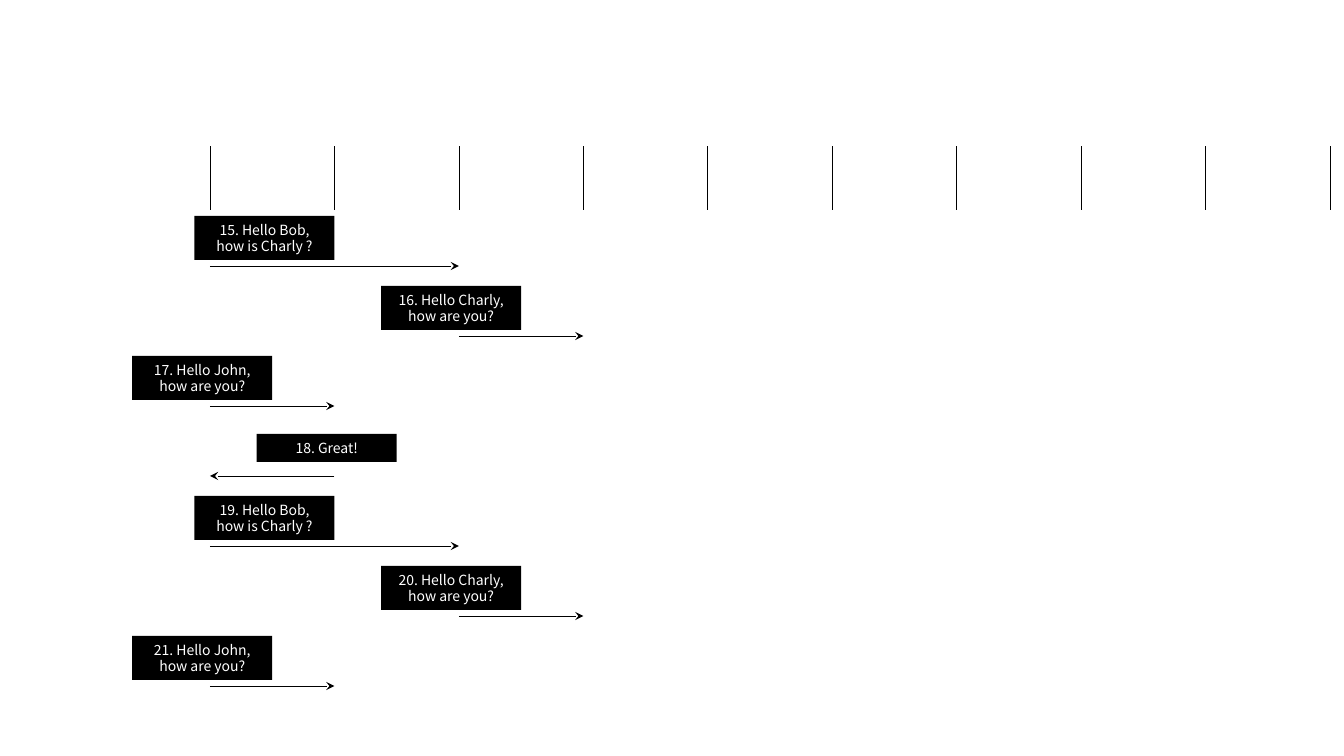
"""Draw a sequence diagram of numbered messages between lifelines."""
import pptx
import pptx.util
import pptx.dml.color
import pptx.enum.shapes
import pptx.enum.text
import pptx.oxml.ns
import lxml.etree

Pt = pptx.util.Pt
theme = {
    "ink": pptx.dml.color.RGBColor(0, 0, 0),
    "text": pptx.dml.color.RGBColor(255, 255, 255),
    "font": "Noto Sans CJK KR",
    "size": Pt(10),
    "line": Pt(0.5),
}

deck = pptx.Presentation()
deck.slide_width, deck.slide_height = Pt(960), Pt(540)
slide = deck.slides.add_slide(deck.slide_layouts[6])


def draw_line(x1, y1, x2, y2, arrow=False):
    """Add a thin line, with an arrowhead at its end if asked."""
    line = slide.shapes.add_connector(
        pptx.enum.shapes.MSO_CONNECTOR.STRAIGHT, Pt(x1), Pt(y1), Pt(x2), Pt(y2))
    line.line.color.rgb = theme["ink"]
    line.line.width = theme["line"]
    if arrow:
        lxml.etree.SubElement(
            line.line._get_or_add_ln(), pptx.oxml.ns.qn("a:tailEnd"), type="stealth")
    lxml.etree.SubElement(line._element.spPr, pptx.oxml.ns.qn("a:effectLst"))


lanes = [150 + 88.9 * i for i in range(10)]
for x in lanes:
    draw_line(x, 150, x, 104)

first, step, wide = 190, 50, 100
calls = [
    (0, 2, "15. Hello Bob, how is Charly ?", 31.4),
    (2, 3, "16. Hello Charly, how are you?", 31.4),
    (0, 1, "17. Hello John, how are you?", 31.4),
    (1, 0, "18. Great!", 20),
    (0, 2, "19. Hello Bob, how is Charly ?", 31.4),
    (2, 3, "20. Hello Charly, how are you?", 31.4),
    (0, 1, "21. Hello John, how are you?", 31.4),
]
for row, (start, end, words, high) in enumerate(calls):
    y = first + row * step
    left = lanes[start] + abs(lanes[end] - lanes[start]) / 2 - wide
    box = slide.shapes.add_shape(
        pptx.enum.shapes.MSO_SHAPE.RECTANGLE,
        Pt(left), Pt(y - 20 - high / 2), Pt(wide), Pt(high))
    box.shadow.inherit = False
    box.fill.solid()
    box.fill.fore_color.rgb = theme["ink"]
    box.line.fill.background()
    frame = box.text_frame
    frame.word_wrap = True
    frame.auto_size = pptx.enum.text.MSO_AUTO_SIZE.SHAPE_TO_FIT_TEXT
    frame.vertical_anchor = pptx.enum.text.MSO_ANCHOR.MIDDLE
    para = frame.paragraphs[0]
    para.alignment = pptx.enum.text.PP_ALIGN.CENTER
    run = para.add_run()
    run.text = words
    run.font.name = theme["font"]
    run.font.size = theme["size"]
    run.font.color.rgb = theme["text"]
    draw_line(lanes[start], y, lanes[end], y, arrow=True)

deck.save("out.pptx")
